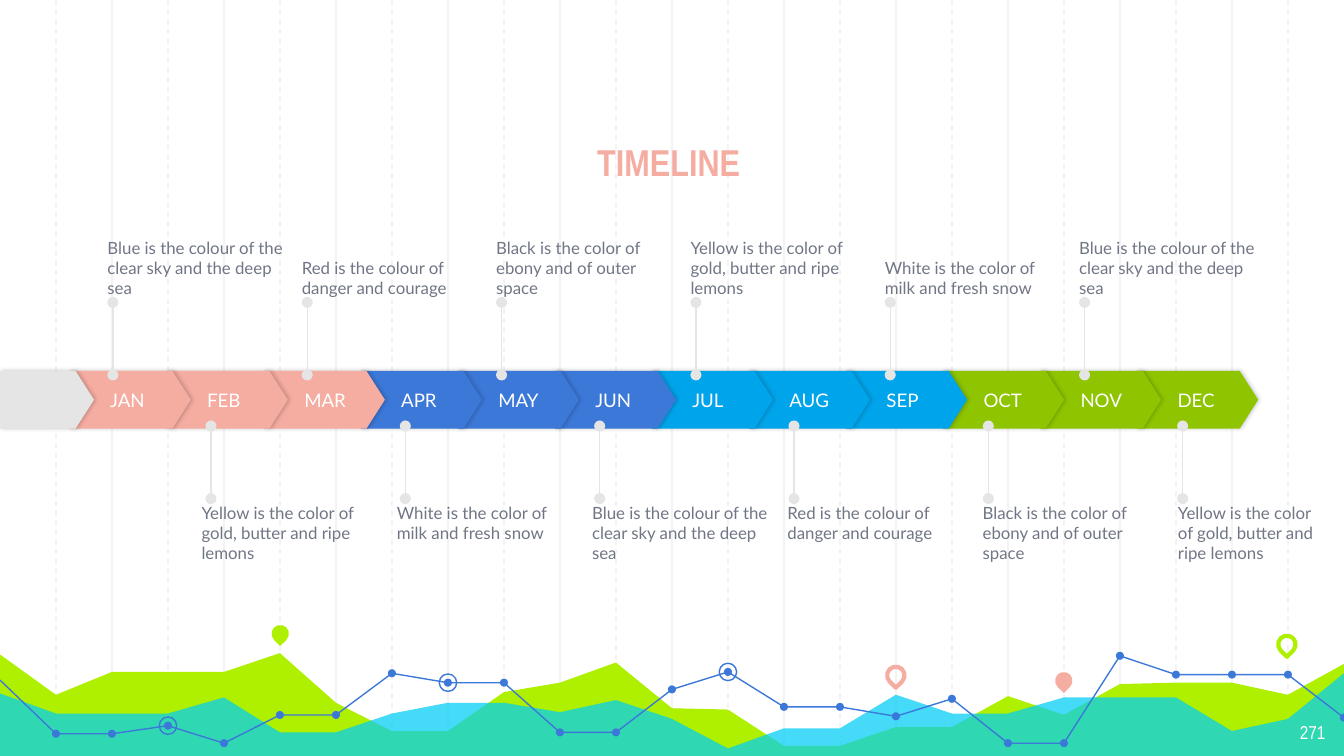
from dataclasses import dataclass

from lxml import etree
from pptx import Presentation
from pptx.dml.color import RGBColor
from pptx.enum import dml, shapes, text
from pptx.oxml import ns
from pptx.util import Inches, Pt


@dataclass(frozen=True)
class Theme:
    grid: str = "F3F3F3"
    grey: str = "E5E5E5"
    ink: str = "707685"
    white: str = "FFFFFF"
    lime: str = "AFF000"
    cyan: str = "00CEF6"
    pink: str = "F5ACA1"
    blue: str = "3C78D8"
    sky: str = "00A4EA"
    green: str = "8EC400"
    head: str = "Arial Narrow"
    body: str = "Lato"
    title: int = 20
    label: int = 10
    note: int = 9


T = Theme()
WIDE = 10
HIGH = WIDE * 9 / 16
STEPS = 24
SHAPE = shapes.MSO_SHAPE
ANCHOR, ALIGN = text.MSO_ANCHOR, text.PP_ALIGN

HILLS = [4.87, 5.17, 5, 5, 5, 4.86, 5.23, 5.44, 5.44, 5.15, 5.08, 4.93, 5.27,
         5.28, 5.55, 5.55, 5.41, 5.41, 5.18, 5.32, 5.09, 5.08, 5.08, 5.17, 4.94]
WAVES = [5.16, 5.31, 5.31, 5.31, 5.19, 5.45, 5.45, 5.31, 5.23, 5.23, 5.3, 5.21, 5.35,
         5.57, 5.42, 5.42, 5.17, 5.31, 5.31, 5.19, 5.19, 5.19, 5.44, 5.35, 5.01]
TREND = [5.06, 5.46, 5.46, 5.4, 5.53, 5.32, 5.32, 5.01, 5.08, 5.08, 5.45, 5.45, 5.13,
         5, 5.26, 5.26, 5.33, 5.2, 5.53, 5.53, 4.88, 5.02, 5.02, 5.02, 5.34]
RINGS = [3, 8, 13]
PINS = [(2.02, 4.65, T.lime, True), (6.6, 4.96, T.pink, False),
        (7.85, 5, T.pink, True), (9.51, 4.73, T.lime, False)]

MONTHS = "JAN FEB MAR APR MAY JUN JUL AUG SEP OCT NOV DEC".split()
QUARTERS = [T.pink, T.blue, T.sky, T.green]
BLUE = "Blue is the colour of the clear sky and the deep sea"
RED = "Red is the colour of danger and courage"
BLACK = "Black is the color of ebony and of outer space"
YELLOW = "Yellow is the color of gold, butter and ripe lemons"
MILK = "White is the color of milk and fresh snow"
ABOVE = [BLUE, RED, BLACK, YELLOW, MILK, BLUE]
BELOW = [YELLOW, MILK, BLUE, RED, BLACK, YELLOW]


def add(parent, tag, **attrs):
    return etree.SubElement(parent, ns.qn(tag), attrs)


def paint(shape, fill=None, line=None, width=0.75):
    shape.shadow.inherit = False
    if fill:
        shape.fill.solid()
        shape.fill.fore_color.rgb = RGBColor.from_string(fill)
    else:
        shape.fill.background()
    if line:
        shape.line.color.rgb = RGBColor.from_string(line)
        shape.line.width = Pt(width)
    else:
        shape.line.fill.background()


def block(slide, kind, box, **look):
    shape = slide.shapes.add_shape(kind, *map(Inches, box))
    paint(shape, **look)
    return shape


def link(slide, x, top, end, color):
    """Draw a vertical line."""
    line = slide.shapes.add_connector(shapes.MSO_CONNECTOR.STRAIGHT,
                                      *map(Inches, (x, top, x, end)))
    line.line.color.rgb = RGBColor.from_string(color)
    line.line.width = Pt(0.75)
    add(line._element.spPr, "a:effectLst")
    return line


def write(shape, words, size, color, font, pads=(0, 0, 0, 0),
          anchor=ANCHOR.TOP, align=ALIGN.LEFT, bold=False):
    frame = shape.text_frame
    frame.word_wrap = True
    frame.vertical_anchor = anchor
    (frame.margin_left, frame.margin_top,
     frame.margin_right, frame.margin_bottom) = map(Inches, pads)
    par = frame.paragraphs[0]
    par.text = words
    par.alignment = align
    par.font.size = Pt(size)
    par.font.name = font
    par.font.bold = bold
    par.font.color.rgb = RGBColor.from_string(color)


def label(slide, box, *args, **look):
    write(slide.shapes.add_textbox(*map(Inches, box)), *args, **look)


def grid(slide):
    for i in range(1, STEPS):
        line = link(slide, i * WIDE / STEPS, 0, HIGH, T.grid)
        if i % 2:
            line.line.dash_style = dml.MSO_LINE.DASH


def plot(slide, levels, closed):
    """Trace one level per grid line, closed down to the slide's foot if asked."""
    points = [(i * WIDE / STEPS, y) for i, y in enumerate(levels)]
    if closed:
        points += [(WIDE, HIGH), (0, HIGH)]
    points = [(Inches(x), Inches(y)) for x, y in points]
    path = slide.shapes.build_freeform(*points[0])
    path.add_line_segments(points[1:], close=closed)
    return path.convert_to_shape()


def dot(slide, i, size, **look):
    """Centre a circle on a trend point."""
    x, y = i * WIDE / STEPS, TREND[i]
    block(slide, SHAPE.OVAL, (x - size / 2, y - size / 2, size, size), **look)


def scenery(slide):
    paint(plot(slide, HILLS, True), fill=T.lime)
    waves = plot(slide, WAVES, True)
    paint(waves, fill=T.cyan)
    tone = waves._element.spPr.find(ns.qn("a:solidFill"))[0]
    add(tone, "a:alpha", val="73000")
    for x, y, color, full in PINS:
        look = {"fill": color} if full else {"line": color, "width": 2.25}
        block(slide, SHAPE.TEAR, (x, y, 0.13, 0.13), **look).rotation = 135
    paint(plot(slide, TREND, False), line=T.blue)
    for i in range(1, len(TREND)):
        dot(slide, i, 0.06, fill=T.blue)
    for i in RINGS:
        dot(slide, i, 0.13, line=T.blue)


def arrow(slide, box, color):
    shape = block(slide, SHAPE.PENTAGON, box, fill=color)
    shape.adjustments[0] = 0.32
    glow = add(shape._element.spPr.find(ns.qn("a:effectLst")), "a:outerShdw",
               blurRad=str(Pt(2.2)), dist=str(Pt(0.8)), dir="0",
               algn="bl", rotWithShape="0")
    add(add(glow, "a:srgbClr", val="000000"), "a:alpha", val="20000")
    return shape


def band(slide, left, top, high, step):
    """Lay the months right to left, so that each overlaps the next."""
    for i, month in reversed(list(enumerate(MONTHS))):
        shape = arrow(slide, (left + i * step, top, 0.9, high), QUARTERS[i // 3])
        write(shape, month, T.label, T.white, T.body,
              pads=(0.3, 0, 0, 0), anchor=ANCHOR.MIDDLE)
    arrow(slide, (0, top, 0.7, high), T.grey)


def notes(slide, words, stem, box, pitch, anchor):
    """Place a row of notes; stem is the first line's x, start and end."""
    x, start, end = stem
    left, top, wide, high = box
    for i, note in enumerate(words):
        line = link(slide, x + i * 1.446, start, end, T.grey)
        edge = line._element.spPr.get_or_add_ln()
        for tag in ("a:headEnd", "a:tailEnd"):
            add(edge, tag, type="oval")
        side = left + i * pitch
        label(slide, (side, top, min(wide, 9.89 - side), high),
              note, T.note, T.ink, T.body, anchor=anchor)


def main():
    deck = Presentation()
    deck.slide_width, deck.slide_height = Inches(WIDE), Inches(HIGH)
    slide = deck.slides.add_slide(deck.slide_layouts[6])
    grid(slide)
    scenery(slide)
    pads = (0.1,) * 4
    label(slide, (1.15, 0.69, 7.65, 0.78), "TIMELINE", T.title, T.pink, T.head,
          pads=pads, anchor=ANCHOR.BOTTOM, align=ALIGN.CENTER, bold=True)
    label(slide, (9.36, 5.28, 0.6, 0.35), "271", T.label, T.white, T.head,
          pads=pads, align=ALIGN.RIGHT)
    band(slide, 0.52, 2.76, 0.43, 0.722)
    notes(slide, ABOVE, (0.84, 2.79, 2.25), (0.8, 1.64, 1.37, 0.58),
          1.446, ANCHOR.BOTTOM)
    notes(slide, BELOW, (1.57, 3.71, 3.17), (1.5, 3.74, 1.37, 0.58),
          1.453, ANCHOR.TOP)
    deck.save("out.pptx")


if __name__ == "__main__":
    main()
